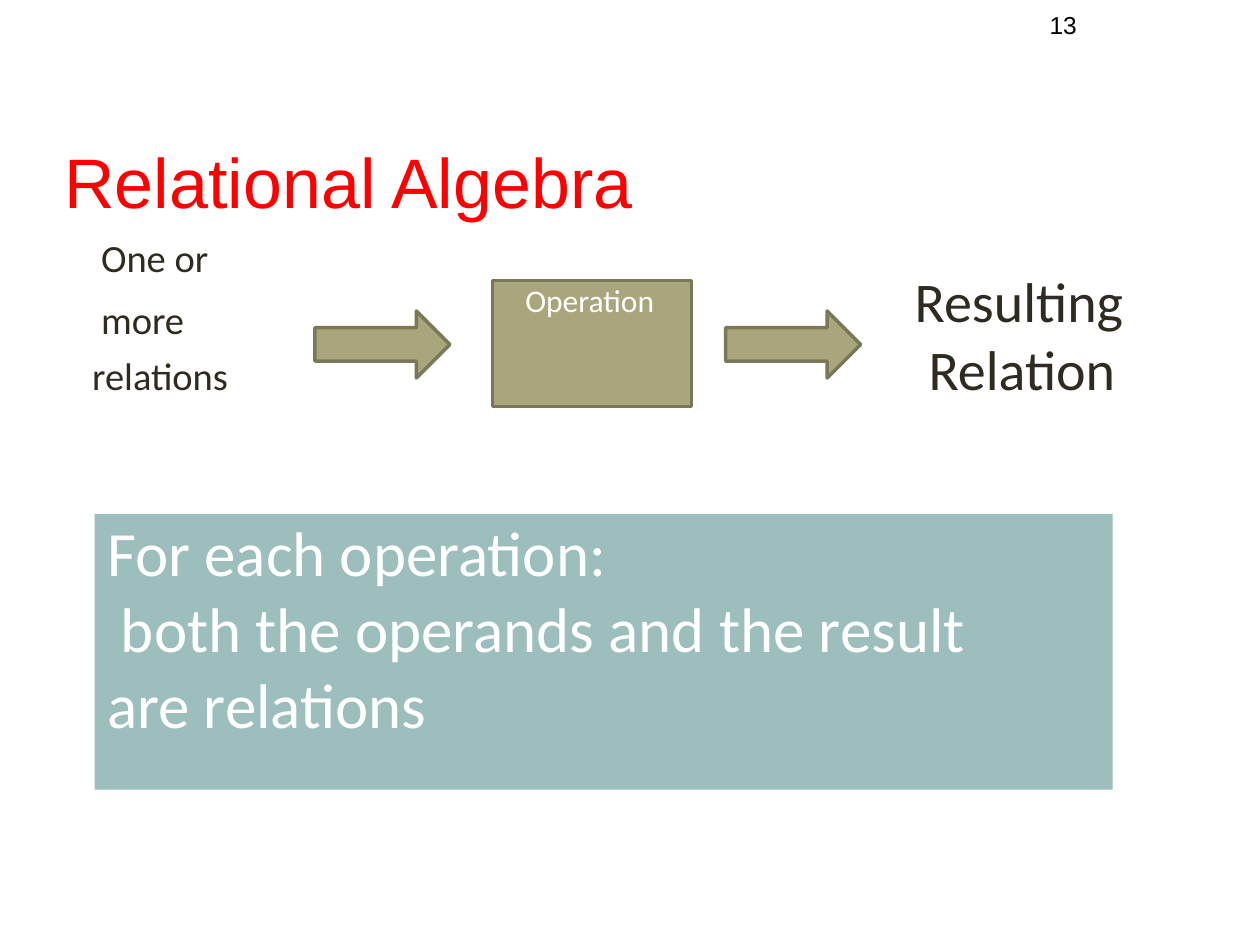
from pptx import Presentation
from pptx.dml.color import RGBColor
from pptx.enum.shapes import MSO_SHAPE
from pptx.enum.text import MSO_ANCHOR, MSO_AUTO_SIZE, PP_ALIGN
from pptx.util import Cm, Pt

RED = RGBColor(0xFF, 0x00, 0x00)
BLACK = RGBColor(0x00, 0x00, 0x00)
WHITE = RGBColor(0xFF, 0xFF, 0xFF)
DARK_BROWN = RGBColor(0x2F, 0x2B, 0x20)
OLIVE = RGBColor(0xA9, 0xA5, 0x7C)
DARK_OLIVE = RGBColor(0x7B, 0x78, 0x59)
TEAL = RGBColor(0x9C, 0xBE, 0xBD)


def set_attributes(target, values):
    for name, value in values.items():
        setattr(target, name, value)


def write_text(shape, paragraphs, size, color, font="Calibri",
               anchor=MSO_ANCHOR.TOP, top_inset=0, spacing=None):
    frame = shape.text_frame
    set_attributes(frame, {
        "word_wrap": True, "auto_size": MSO_AUTO_SIZE.NONE,
        "vertical_anchor": anchor, "margin_left": 0, "margin_right": 0,
        "margin_top": Cm(top_inset), "margin_bottom": 0,
    })
    for index, (text, margin, indent, right_margin) in enumerate(paragraphs):
        paragraph = frame.add_paragraph() if index else frame.paragraphs[0]
        set_attributes(paragraph, {"alignment": PP_ALIGN.LEFT, "line_spacing": spacing})
        properties = paragraph._p.get_or_add_pPr()
        for name, length in {"marL": margin, "marR": right_margin, "indent": indent}.items():
            properties.set(name, str(int(Cm(length))))
        run = paragraph.add_run()
        run.text = text
        set_attributes(run.font, {"name": font, "size": Pt(size)})
        run.font.color.rgb = color


def add_label(slide, box, *text_arguments, **text_format):
    label = slide.shapes.add_textbox(*map(Cm, box))
    write_text(label, *text_arguments, **text_format)


def add_block(slide, kind, box, fill, line=None):
    shape = slide.shapes.add_shape(kind, *map(Cm, box))
    shape.shadow.inherit = False
    shape.fill.solid()
    shape.fill.fore_color.rgb = fill
    if line is None:
        shape.line.fill.background()
    else:
        shape.line.color.rgb = line
        shape.line.width = Pt(2)
    return shape


def place_title(slide, left, top, width, height):
    title = slide.shapes.title
    set_attributes(title, {
        "left": Cm(left), "top": Cm(top), "width": Cm(width), "height": Cm(height),
    })
    write_text(title, [("Relational Algebra", 0.03, 0, 0)], 40, RED, font="Arial",
               anchor=MSO_ANCHOR.MIDDLE, top_inset=0.97, spacing=1.37)


def place_page_number(slide, box):
    add_label(slide, box, [("13", 0, 0, 0)], 14, BLACK,
              font="Arial", anchor=MSO_ANCHOR.MIDDLE)


def place_flow(slide, left, top):
    add_label(slide, (left + 0.18, top, 2.24, 0.79),
              [("One or", 0.03, 0, 0)], 22, DARK_BROWN)
    add_label(slide, (left, top + 1.07, 2.82, 1.96),
              [("more relations", 0.03, 0.18, 0)], 22, DARK_BROWN, spacing=1.2)
    for offset in (4.52, 12.8):
        add_block(slide, MSO_SHAPE.RIGHT_ARROW, (left + offset, top + 1.55, 2.72, 1.35),
                  OLIVE, DARK_OLIVE)
    operation = add_block(slide, MSO_SHAPE.RECTANGLE, (left + 8.1, top + 0.94, 4.01, 2.54),
                          OLIVE, DARK_OLIVE)
    write_text(operation, [("Operation", 0.66, 0, 0)], 18, WHITE)
    add_label(slide, (left + 16.61, top + 0.66, 4.27, 2.57),
              [("Resulting Relation", 0.28, -0.28, 0)], 32, DARK_BROWN)


def place_statement(slide, box):
    statement = add_block(slide, MSO_SHAPE.RECTANGLE, box, TEAL)
    write_text(statement, [
        ("For each operation:", 0.25, 0, 0),
        ("both the operands and the result are relations", 0.25, 0.28, 1.5),
    ], 36, WHITE)


def main():
    presentation = Presentation()
    set_attributes(presentation, {"slide_width": Cm(25.4), "slide_height": Cm(19.05)})
    slide = presentation.slides.add_slide(presentation.slide_layouts.get_by_name("Title Only"))
    place_title(slide, 1.27, 1.47, 22.86, 2.74)
    place_page_number(slide, (21.16, 0.05, 2.97, 0.91))
    place_flow(slide, 1.83, 4.72)
    place_statement(slide, (1.91, 10.36, 20.52, 5.56))
    presentation.save("out.pptx")


if __name__ == "__main__":
    main()
